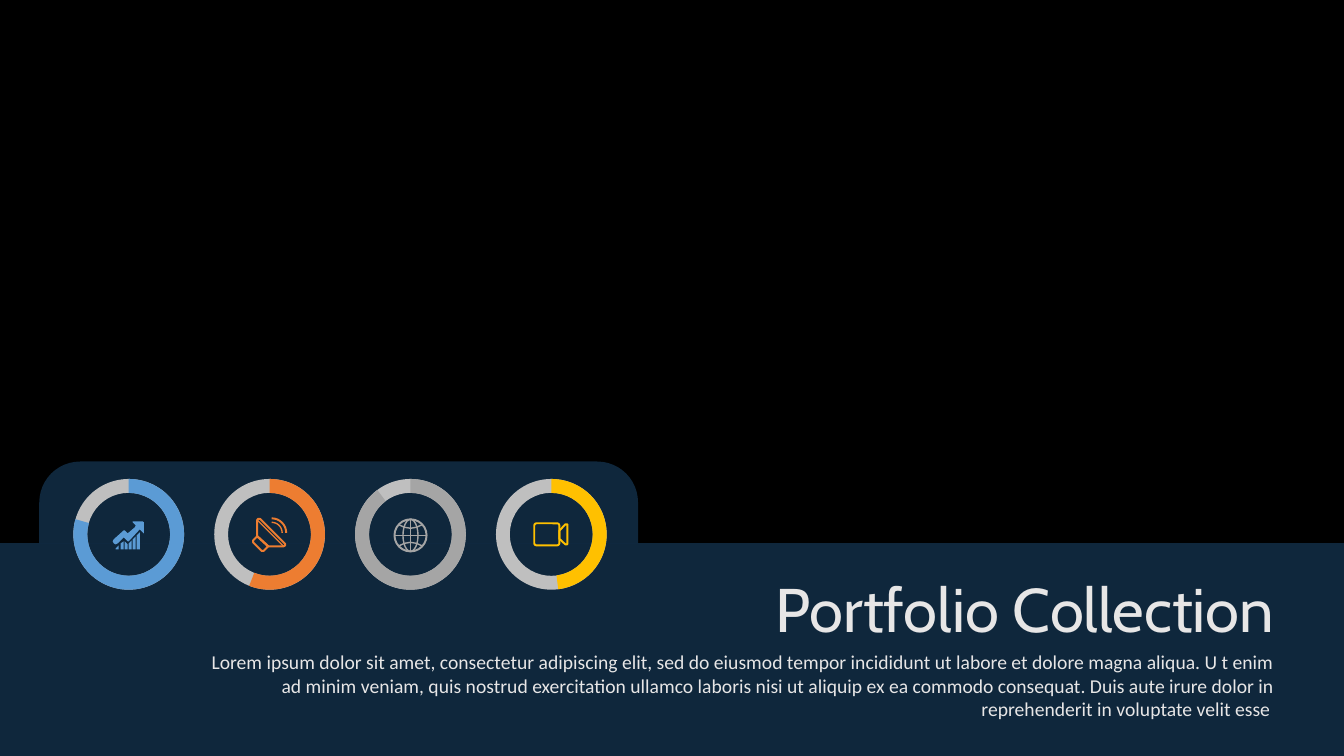
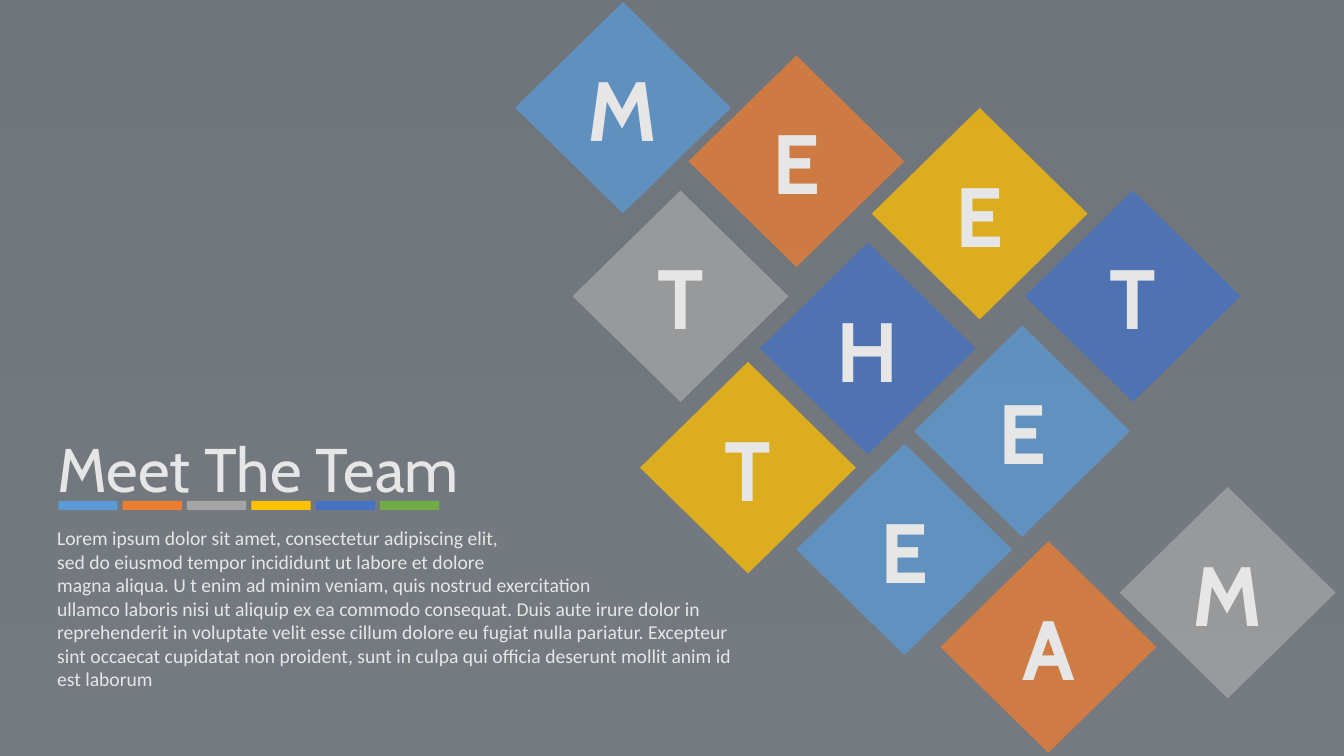
from dataclasses import dataclass
from math import cos, pi, sin

from lxml.etree import SubElement
from pptx import Presentation
from pptx.dml.color import RGBColor
from pptx.enum.shapes import MSO_CONNECTOR as Connector, MSO_SHAPE as Shape
from pptx.enum.text import MSO_ANCHOR as Anchor, MSO_AUTO_SIZE as AutoSize, PP_ALIGN as Align
from pptx.oxml.ns import qn
from pptx.util import Cm, Pt


@dataclass(frozen=True)
class Theme:
    """Colours, fonts and type sizes of the presentation."""
    black: str = "000000"
    navy: str = "1F4E79"
    slate: str = "222A35"
    light: str = "E7E6E6"
    pale: str = "F2F2F2"
    track: str = "BFBFBF"
    blue: str = "5B9BD5"
    orange: str = "ED7D31"
    grey: str = "A5A5A5"
    yellow: str = "FFC000"
    indigo: str = "4472C4"
    green: str = "70AD47"
    title_font: str = "Cabin"
    body_font: str = "Calibri"
    title_size: int = 44
    letter_size: int = 60
    body_size: int = 14


@dataclass(frozen=True)
class Box:
    """A rectangle in centimetres."""
    left: float
    top: float
    width: float
    height: float

    def lengths(self):
        """Return left, top, width and height as lengths."""
        return Cm(self.left), Cm(self.top), Cm(self.width), Cm(self.height)

    def inner(self, left, top, width, height):
        """Return a box placed relative to this one."""
        return Box(self.left + left, self.top + top, width, height)

    def cell(self, left, top, width, height, units=36):
        """Return an inner box given on a square grid of units."""
        unit = self.width / units
        return self.inner(left * unit, top * unit, width * unit, height * unit)


THEME = Theme()
PAGE = Box(0, 0, 33.87, 19.05)


def paint(shape, fill=None, line=None, width=1.0, opacity=None):
    """Set fill, outline and opacity, without a shadow."""
    shape.shadow.inherit = False
    if fill:
        shape.fill.solid()
        shape.fill.fore_color.rgb = RGBColor.from_string(fill)
    else:
        shape.fill.background()
    if line:
        shape.line.color.rgb = RGBColor.from_string(line)
        shape.line.width = Pt(width)
    else:
        shape.line.fill.background()
    if opacity is not None:
        colour = shape.element.xpath("./p:spPr/a:solidFill/a:srgbClr")[0]
        SubElement(colour, qn("a:alpha")).set("val", str(opacity * 1000))
    return shape


def add_preset(slide, kind, box, adjustments=(), **look):
    """Add a preset shape with its adjustments and look."""
    shape = slide.shapes.add_shape(kind, *box.lengths())
    for index, value in enumerate(adjustments):
        shape.adjustments[index] = value
    return paint(shape, **look)


def add_outline(slide, box, points, closed=True, **look):
    """Add a freeform whose points lie on a 36-unit grid in the box."""
    unit = box.width / 36
    spots = [(Cm(box.left + x * unit), Cm(box.top + y * unit)) for x, y in points]
    builder = slide.shapes.build_freeform(*spots[0])
    builder.add_line_segments(spots[1:], close=closed)
    return paint(builder.convert_to_shape(), **look)


def add_rule(slide, box, start, end, colour, width):
    """Add a straight line between two points of the 36-unit grid."""
    unit = box.width / 36
    ends = [Cm(edge + value * unit) for point in (start, end)
            for edge, value in zip((box.left, box.top), point)]
    line = slide.shapes.add_connector(Connector.STRAIGHT, *ends)
    line.line.color.rgb = RGBColor.from_string(colour)
    line.line.width = Pt(width)
    SubElement(line.element.spPr, qn("a:effectLst"))


def write_text(shape, text, *, font=THEME.body_font, size=THEME.body_size, bold=False,
               align=Align.LEFT, anchor=Anchor.TOP, wrap=True, grow=False):
    """Write one paragraph for each line of the text."""
    frame = shape.text_frame
    frame.word_wrap = wrap
    frame.auto_size = AutoSize.SHAPE_TO_FIT_TEXT if grow else AutoSize.NONE
    frame.vertical_anchor = anchor
    for index, line in enumerate(text.split("\n")):
        paragraph = frame.paragraphs[0] if index == 0 else frame.add_paragraph()
        paragraph.alignment = align
        run = paragraph.add_run()
        run.text = line
        run.font.name = font
        run.font.size = Pt(size)
        run.font.bold = bold
        run.font.color.rgb = RGBColor.from_string(THEME.light)


def place_title(slide, box, text, align=Align.LEFT):
    """Move the title placeholder to the front and fill it."""
    title = slide.shapes.title
    title.left, title.top, title.width, title.height = box.lengths()
    title.element.getparent().append(title.element)
    write_text(title, text, font=THEME.title_font, size=THEME.title_size,
               align=align, wrap=False, grow=True)


def place_body(slide, box, text, align=Align.LEFT):
    """Add the running text."""
    write_text(slide.shapes.add_textbox(*box.lengths()), text, align=align, grow=True)


def draw_growth(slide, box, colour):
    """Draw bars under a rising arrow."""
    bars = [(5, 32, 29), (10, 27, 25), (14, 25, 28), (18, 27, 24), (22, 23, 20), (26, 19, 16)]
    for x, left_top, right_top in bars:
        points = [(x, 33), (x, left_top), (x + 3, right_top), (x + 3, 33)]
        add_outline(slide, box, points, fill=colour)
    arrow = [(33, 17), (33, 6), (32, 5), (22, 5), (22, 6), (25, 9), (24, 11), (17, 17),
             (14, 14), (13, 14), (3, 23), (2, 25), (3, 27), (5, 28), (7, 27), (13, 21),
             (17, 25), (18, 25), (29, 13)]
    add_outline(slide, box, arrow, fill=colour)


def draw_dish(slide, box, colour):
    """Draw a satellite dish with two signal arcs."""
    dish = [(5.5, 4), (6.5, 2.5), (8.5, 2.5), (33.5, 27.5), (33.5, 29), (32, 30),
            (17, 30), (5.5, 19.5)]
    foot = [(5.5, 20), (1.5, 24), (1.5, 26), (10, 34.5), (12, 34.5), (16.5, 30)]
    for points in (dish, foot):
        add_outline(slide, box, points, line=colour, width=1.4)
    add_rule(slide, box, (6, 4), (32, 30), colour, 1)
    for radius, width in ((14.5, 1.4), (10.5, 1)):
        arc = [(20 + radius * sin(step * pi / 16), 16.5 - radius * cos(step * pi / 16))
               for step in range(9)]
        add_outline(slide, box, arc, closed=False, line=colour, width=width)


def draw_globe(slide, box, colour):
    """Draw a globe with meridians and parallels."""
    add_preset(slide, Shape.OVAL, box.cell(2, 3, 32, 32), line=colour, width=1.4)
    add_preset(slide, Shape.OVAL, box.cell(10.5, 3, 15, 32), line=colour, width=1)
    add_rule(slide, box, (18, 3), (18, 35), colour, 1)
    add_rule(slide, box, (2, 19), (34, 19), colour, 1)
    for side in (-1, 1):
        parallel = [(x, 19 + side * drop) for x, drop in
                    ((6.5, 10.5), (12, 8), (18, 7), (24, 8), (29.5, 10.5))]
        add_outline(slide, box, parallel, closed=False, line=colour, width=1)


def draw_camera(slide, box, colour):
    """Draw a video camera."""
    add_preset(slide, Shape.ROUNDED_RECTANGLE, box.cell(1, 7, 25, 22), (0.1,),
               line=colour, width=1.4)
    lens = [(26, 14.5), (32, 8), (34, 8), (34, 28), (32, 28), (26, 22.5)]
    add_outline(slide, box, lens, line=colour, width=1.4)


def add_gauge(slide, box, share, colour, draw_icon):
    """Add a ring filled clockwise from the top, with an icon inside."""
    degree = 0.6
    end = (270 + 360 * share) % 360
    add_preset(slide, Shape.DONUT, box, (0.125,), fill=THEME.track)
    add_preset(slide, Shape.BLOCK_ARC, box, (270 * degree, end * degree, 0.126), fill=colour)
    icon = 0.91
    inset = (box.width - icon) / 2
    draw_icon(slide, box.inner(inset, inset, icon, icon), colour)


def add_gauge_row(slide, box, gauges):
    """Add the tab and its evenly spaced gauges."""
    add_preset(slide, Shape.ROUND_2_SAME_RECTANGLE, box, (0.5, 0),
               fill=THEME.navy, opacity=50)
    for index, gauge in enumerate(gauges):
        add_gauge(slide, box.inner(0.86 + 3.55 * index, 0.44, 2.79, 2.79), *gauge)


def add_stripes(slide, box, colours):
    """Add a row of equal colour bars with a small gap."""
    gap = 0.13
    width = (box.width + gap) / len(colours) - gap
    for index, colour in enumerate(colours):
        add_preset(slide, Shape.RECTANGLE,
                   box.inner(index * (width + gap), 0, width, box.height), fill=colour)


def add_letter_tiles(slide, box, tiles):
    """Add the lettered diamonds, placed from the corner of the box."""
    for letter, left, top, colour in tiles:
        tile = add_preset(slide, Shape.FLOWCHART_DECISION, box.inner(left, top, 5.44, 5.33),
                          fill=colour, opacity=75)
        write_text(tile, letter, font=THEME.title_font, size=THEME.letter_size, bold=True,
                   align=Align.CENTER, anchor=Anchor.MIDDLE)


def build_portfolio(slide):
    """Build the portfolio slide."""
    add_preset(slide, Shape.RECTANGLE, PAGE, fill=THEME.black)
    band = PAGE.inner(0, 13.69, PAGE.width, 5.36)
    add_preset(slide, Shape.RECTANGLE, band, fill=THEME.navy, opacity=50)
    add_gauge_row(slide, band.inner(0.99, -2.06, 15.09, 2.06), [
        (0.794, THEME.blue, draw_growth),
        (0.56, THEME.orange, draw_dish),
        (0.898, THEME.grey, draw_globe),
        (0.48, THEME.yellow, draw_camera),
    ])
    place_title(slide, band.inner(18.44, 0.56, 13.94, 2.13), "Portfolio Collection", Align.RIGHT)
    place_body(slide, band.inner(5, 2.57, 27.38, 2.06), (
        "Lorem ipsum dolor sit amet, consectetur adipiscing elit, sed do eiusmod tempor "
        "incididunt ut labore et dolore magna aliqua. U t enim ad minim veniam, quis nostrud "
        "exercitation ullamco laboris nisi ut aliquip ex ea commodo consequat. Duis aute irure "
        "dolor in reprehenderit in voluptate velit esse "), Align.RIGHT)


def build_team(slide):
    """Build the team slide."""
    add_preset(slide, Shape.RECTANGLE, PAGE, fill=THEME.slate, opacity=60)
    add_letter_tiles(slide, PAGE.inner(12.98, 0.05, 20.68, 18.92), [
        ("M", 0, 0, THEME.blue),
        ("E", 4.37, 1.35, THEME.orange),
        ("E", 8.99, 2.67, THEME.yellow),
        ("T", 12.85, 4.75, THEME.indigo),
        ("T", 1.45, 4.75, THEME.grey),
        ("H", 6.17, 6.07, THEME.indigo),
        ("E", 10.06, 8.15, THEME.blue),
        ("T", 3.15, 9.07, THEME.yellow),
        ("E", 7.09, 11.13, THEME.blue),
        ("A", 10.72, 13.59, THEME.orange),
        ("M", 15.24, 12.22, THEME.grey),
    ])
    column = PAGE.inner(1.19, 10.72, 17.96, 6.86)
    place_title(slide, column.inner(0, 0, 11.07, 2.13), "Meet The Team")
    add_stripes(slide, column.inner(0.28, 1.9, 9.6, 0.23), [
        THEME.blue, THEME.orange, THEME.grey, THEME.yellow, THEME.indigo, THEME.green])
    place_body(slide, column.inner(0, 2.41, column.width, 4.45), (
        "Lorem ipsum dolor sit amet, consectetur adipiscing elit,\n"
        "sed do eiusmod tempor incididunt ut labore et dolore\n"
        "magna aliqua. U t enim ad minim veniam, quis nostrud exercitation\n"
        "ullamco laboris nisi ut aliquip ex ea commodo consequat. Duis aute irure dolor in "
        "reprehenderit in voluptate velit esse cillum dolore eu fugiat nulla pariatur. "
        "Excepteur sint occaecat cupidatat non proident, sunt in culpa qui officia deserunt "
        "mollit anim id est laborum"))


def set_background(master):
    """Give every slide the same light vertical gradient."""
    fill = master.background.fill
    fill.gradient()
    fill.gradient_angle = 270
    for stop, colour in zip(fill.gradient_stops, (THEME.light, THEME.pale)):
        stop.color.rgb = RGBColor.from_string(colour)


def main():
    """Build and save the presentation."""
    presentation = Presentation()
    presentation.slide_width, presentation.slide_height = Cm(PAGE.width), Cm(PAGE.height)
    set_background(presentation.slide_master)
    title_only = presentation.slide_layouts.get_by_name("Title Only")
    for build in (build_portfolio, build_team):
        build(presentation.slides.add_slide(title_only))
    presentation.save("out.pptx")


if __name__ == "__main__":
    main()
